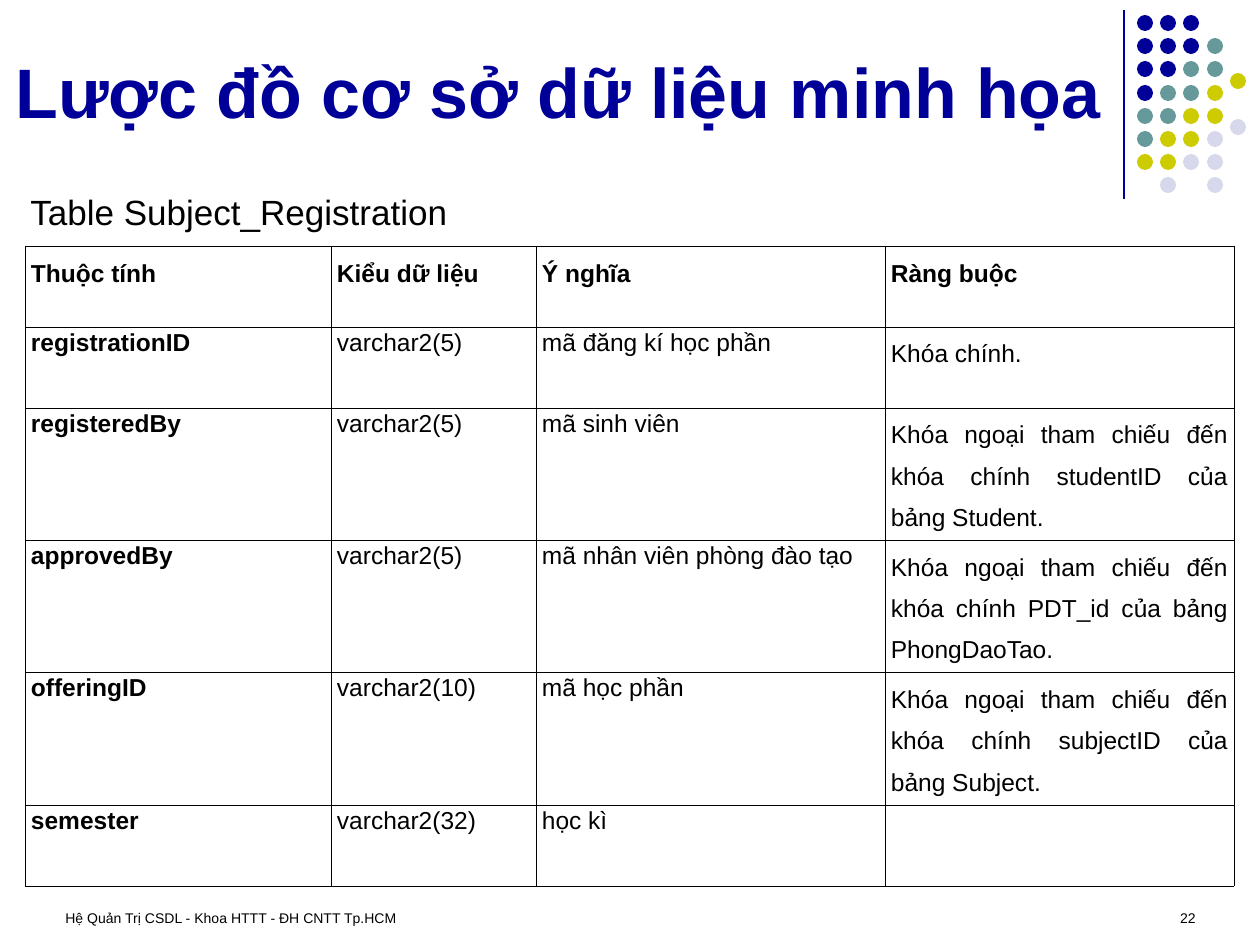
"""Build the slide describing the Subject_Registration table."""
import pptx
import pptx.dml.color
import pptx.enum.shapes
import pptx.enum.text
import pptx.oxml
import pptx.oxml.ns
import pptx.util

NAVY = pptx.dml.color.RGBColor(0x00, 0x00, 0x99)
TEAL = pptx.dml.color.RGBColor(0x66, 0x99, 0x99)
OLIVE = pptx.dml.color.RGBColor(0xCC, 0xCC, 0x00)
LAVENDER = pptx.dml.color.RGBColor(0xD8, 0xD8, 0xEC)
BLACK = pptx.dml.color.RGBColor(0x00, 0x00, 0x00)

ALIGN = pptx.enum.text.PP_ALIGN
ANCHOR = pptx.enum.text.MSO_ANCHOR
PX_PER_INCH = 126

DOT_COLOURS = {"N": NAVY, "T": TEAL, "O": OLIVE, "L": LAVENDER}
DOT_ROWS = ["NNN ", "NNNT", "NNTT", "NTTO", "TTOO", "TOOL", "OOLL", " L L"]
DOT_LEFT, DOT_TOP, DOT_PITCH, DOT_SIZE = 1137, 15, 23.2, 16
SIDE_DOTS = [(73, OLIVE), (119, LAVENDER)]

COLUMN_WIDTHS = [306, 205, 349, 349]
ROW_HEIGHTS = [81, 81, 113, 113, 113, 81]
ATTRIBUTES = [
    ["Thuộc tính", "Kiểu dữ liệu", "Ý nghĩa", "Ràng buộc"],
    ["registrationID", "varchar2(5)", "mã đăng kí học phần", "Khóa chính."],
    ["registeredBy", "varchar2(5)", "mã sinh viên",
     "Khóa ngoại tham chiếu đến khóa chính studentID của bảng Student."],
    ["approvedBy", "varchar2(5)", "mã nhân viên phòng đào tạo",
     "Khóa ngoại tham chiếu đến khóa chính PDT_id của bảng PhongDaoTao."],
    ["offeringID", "varchar2(10)", "mã học phần",
     "Khóa ngoại tham chiếu đến khóa chính subjectID của bảng Subject."],
    ["semester", "varchar2(32)", "học kì", ""],
]


def px(length):
    """Turn pixels into EMU."""
    return pptx.util.Emu(round(length * 914400 / PX_PER_INCH))


class SlideWriter:
    """Hold the font and the current slide, and draw each kind of element."""

    def __init__(self, slide, font_name="Arial"):
        self.slide = slide
        self.font_name = font_name

    def style(self, paragraph, size, colour, bold=False, align=ALIGN.LEFT):
        """Format a paragraph and its runs."""
        paragraph.alignment = align
        for run in paragraph.runs:
            run.font.name = self.font_name
            run.font.size = pptx.util.Pt(size)
            run.font.bold = bold
            run.font.color.rgb = colour

    def text(self, box, words, size, colour=BLACK, bold=False,
             align=ALIGN.LEFT, anchor=ANCHOR.TOP):
        """Add a wrapped text box."""
        frame = self.slide.shapes.add_textbox(*map(px, box)).text_frame
        frame.word_wrap = True
        frame.vertical_anchor = anchor
        frame.text = words
        self.style(frame.paragraphs[0], size, colour, bold, align)

    def dot(self, left, top, colour):
        """Add a plain round dot."""
        dot = self.slide.shapes.add_shape(
            pptx.enum.shapes.MSO_SHAPE.OVAL,
            px(left), px(top), px(DOT_SIZE), px(DOT_SIZE))
        dot.shadow.inherit = False
        dot.fill.solid()
        dot.fill.fore_color.rgb = colour
        dot.line.fill.background()

    def line(self, start, end, colour, width):
        """Add a straight line without shadow."""
        rule = self.slide.shapes.add_connector(
            pptx.enum.shapes.MSO_CONNECTOR.STRAIGHT,
            *map(px, start), *map(px, end))
        rule.line.color.rgb = colour
        rule.line.width = pptx.util.Pt(width)
        properties = rule._element.spPr
        properties.append(properties.makeelement(pptx.oxml.ns.qn("a:effectLst"), {}))

    def border(self, cell, colour, width):
        """Draw all four sides of a cell."""
        properties = cell._tc.get_or_add_tcPr()
        for side in ("lnL", "lnR", "lnT", "lnB"):
            properties.append(pptx.oxml.parse_xml(
                f'<a:{side} {pptx.oxml.ns.nsdecls("a")} w="{pptx.util.Pt(width)}">'
                f'<a:solidFill><a:srgbClr val="{colour}"/></a:solidFill></a:{side}>'))

    def table(self, left, top, widths, heights, rows):
        """Add a bordered table with a bold header row and first column."""
        grid = self.slide.shapes.add_table(
            len(rows), len(widths), px(left), px(top),
            px(sum(widths)), px(sum(heights))).table
        grid.first_row = grid.horz_banding = False
        for column, width in zip(grid.columns, widths):
            column.width = px(width)
        for row, height in zip(grid.rows, heights):
            row.height = px(height)
        for r, row in enumerate(rows):
            for c, words in enumerate(row):
                cell = grid.cell(r, c)
                self.border(cell, BLACK, 0.25)
                cell.fill.background()
                cell.margin_left = cell.margin_right = px(6)
                cell.margin_top = cell.margin_bottom = 0
                cell.text_frame.text = words
                paragraph = cell.text_frame.paragraphs[0]
                paragraph.line_spacing = 1.5 if r == 0 or c == 3 else 1.07
                self.style(paragraph, 14, BLACK, r == 0 or c == 0, ALIGN.JUSTIFY)


def main():
    """Draw the slide and save it."""
    deck = pptx.Presentation()
    deck.slide_width, deck.slide_height = px(1260), px(945)
    writer = SlideWriter(deck.slides.add_slide(deck.slide_layouts[6]))

    for top, colour in SIDE_DOTS:
        writer.dot(1230, top, colour)
    for r, row in enumerate(DOT_ROWS):
        for c, key in enumerate(row):
            if key in DOT_COLOURS:
                writer.dot(round(DOT_LEFT + c * DOT_PITCH),
                           round(DOT_TOP + r * DOT_PITCH), DOT_COLOURS[key])
    writer.line((1124, 10), (1124, 199), NAVY, 1)

    writer.text((53, 903, 809, 42), "Hệ Quản Trị CSDL - Khoa HTTT - ĐH CNTT Tp.HCM", 8)
    writer.text((914, 903, 294, 42), "22", 8, align=ALIGN.RIGHT)
    writer.text((3, 19, 1124, 120), "Lược đồ cơ sở dữ liệu minh họa", 40,
                NAVY, bold=True, anchor=ANCHOR.BOTTOM)
    writer.table(25, 246, COLUMN_WIDTHS, ROW_HEIGHTS, ATTRIBUTES)
    writer.text((18, 184, 1216, 55), "Table Subject_Registration", 20,
                anchor=ANCHOR.MIDDLE)

    deck.save("out.pptx")


if __name__ == "__main__":
    main()
